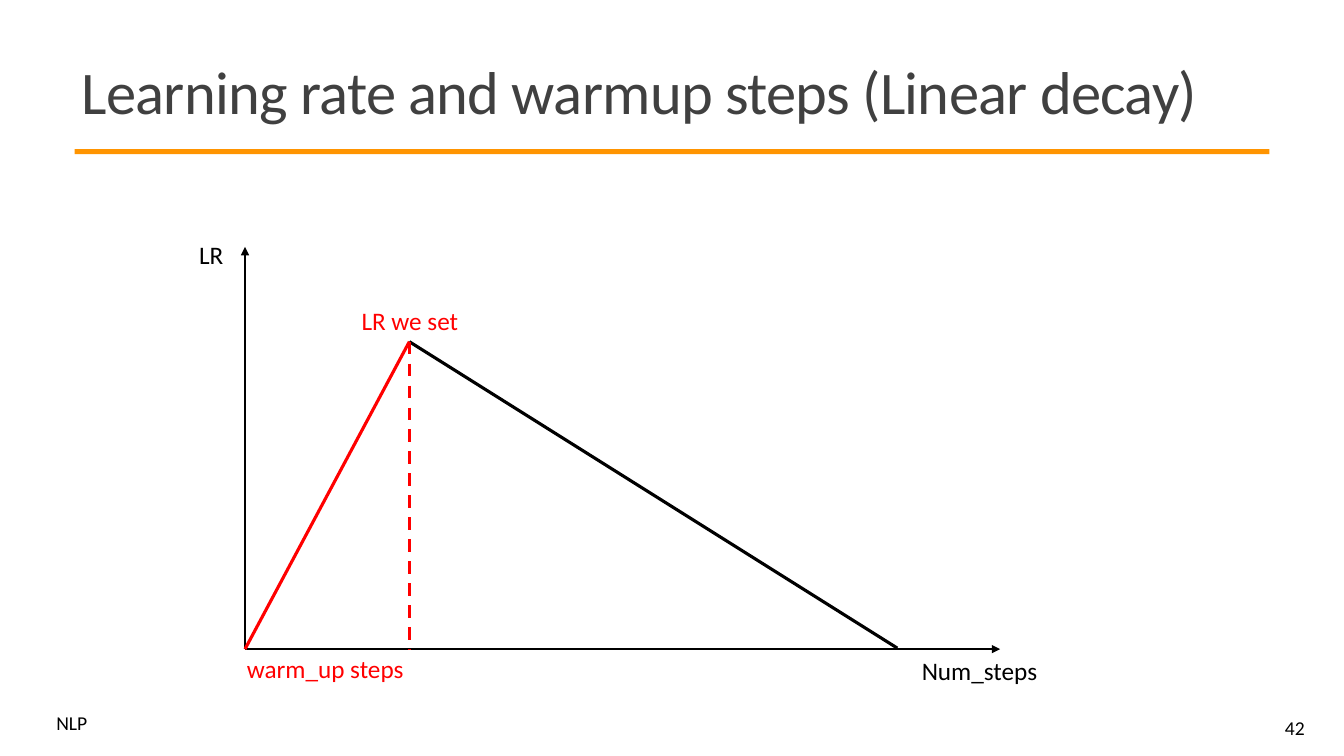
from lxml import etree
from pptx import Presentation
from pptx.dml.color import RGBColor
from pptx.enum.dml import MSO_LINE
from pptx.enum.shapes import MSO_CONNECTOR, MSO_SHAPE
from pptx.enum.text import MSO_ANCHOR, MSO_AUTO_SIZE, PP_ALIGN
from pptx.oxml.ns import qn
from pptx.util import Pt

PX = 9144
LEFT, CENTER, RIGHT = PP_ALIGN.LEFT, PP_ALIGN.CENTER, PP_ALIGN.RIGHT
TOP, MIDDLE = MSO_ANCHOR.TOP, MSO_ANCHOR.MIDDLE
COLORS = {"bar": "FF9400", "title": "404040", "ink": "000000", "warmup": "FF0000"}
FONT = "Calibri"


def color(name):
    return RGBColor.from_string(COLORS[name])


def write(box, text, size=18, ink="ink", align=LEFT, anchor=TOP, spacing=1.0, tracking=None):
    frame = box.text_frame
    frame.word_wrap = True
    frame.auto_size = MSO_AUTO_SIZE.NONE
    frame.vertical_anchor = anchor
    para = frame.paragraphs[0]
    para.alignment = align
    para.line_spacing = spacing
    span = para.add_run()
    span.text = text
    span.font.name = FONT
    span.font.size = Pt(size)
    span.font.color.rgb = color(ink)
    if tracking is not None:
        span.font._element.set("spc", str(tracking))


class SlideBuilder:
    """Draws styled elements on one slide, with lengths in hundredths of an inch."""

    def __init__(self, deck):
        self.page = deck.slides.add_slide(deck.slide_layouts[5])

    def title(self, text, left, top, width, height, **style):
        box = self.page.shapes.title
        box.left, box.top = left * PX, top * PX
        box.width, box.height = width * PX, height * PX
        write(box, text, **style)

    def bar(self, left, top, width, height, fill):
        shape = self.page.shapes.add_shape(
            MSO_SHAPE.RECTANGLE, left * PX, top * PX, width * PX, height * PX)
        shape.shadow.inherit = False
        shape.fill.solid()
        shape.fill.fore_color.rgb = color(fill)
        shape.line.fill.background()

    def label(self, text, left, top, width, height=40, **style):
        box = self.page.shapes.add_textbox(left * PX, top * PX, width * PX, height * PX)
        write(box, text, **style)

    def line(self, start, end, ink="ink", weight=2.25, dashed=False, arrow=False):
        points = [length * PX for length in (*start, *end)]
        connector = self.page.shapes.add_connector(MSO_CONNECTOR.STRAIGHT, *points)
        connector.line.color.rgb = color(ink)
        connector.line.width = Pt(weight)
        if dashed:
            connector.line.dash_style = MSO_LINE.DASH
        properties = connector._element.spPr
        if arrow:
            etree.SubElement(properties.find(qn("a:ln")), qn("a:tailEnd"), type="triangle")
        etree.SubElement(properties, qn("a:effectLst"))


def main():
    deck = Presentation()
    deck.slide_width, deck.slide_height = 1333 * PX, 750 * PX
    slide = SlideBuilder(deck)

    slide.bar(74, 148, 1185, 5, "bar")
    slide.label("NLP", 46, 705, 61, 29, size=14, spacing=0.8)
    slide.title("Learning rate and warmup steps (Linear decay)", 71, 39, 1194, 113,
                size=43.2, ink="title", anchor=MIDDLE, spacing=0.85, tracking=-50)
    slide.label("42", 1161, 702, 143, size=14, align=RIGHT, anchor=MIDDLE)

    origin, peak, decay_end = (243, 644), (406, 339), (890, 643)
    slide.line(origin, (243, 245), weight=1, arrow=True)
    slide.line(origin, (992, 644), weight=1, arrow=True)
    slide.line(origin, peak, ink="warmup")
    slide.line(peak, decay_end)
    slide.line(peak, (peak[0], origin[1]), ink="warmup", dashed=True)

    slide.label("warm_up steps", 235, 643, 179, ink="warmup")
    slide.label("LR we set", 317, 298, 179, ink="warmup", align=CENTER)
    slide.label("LR", 128, 233, 163, align=CENTER)
    slide.label("Num_steps", 890, 645, 163, align=CENTER)

    deck.save("out.pptx")


if __name__ == "__main__":
    main()
